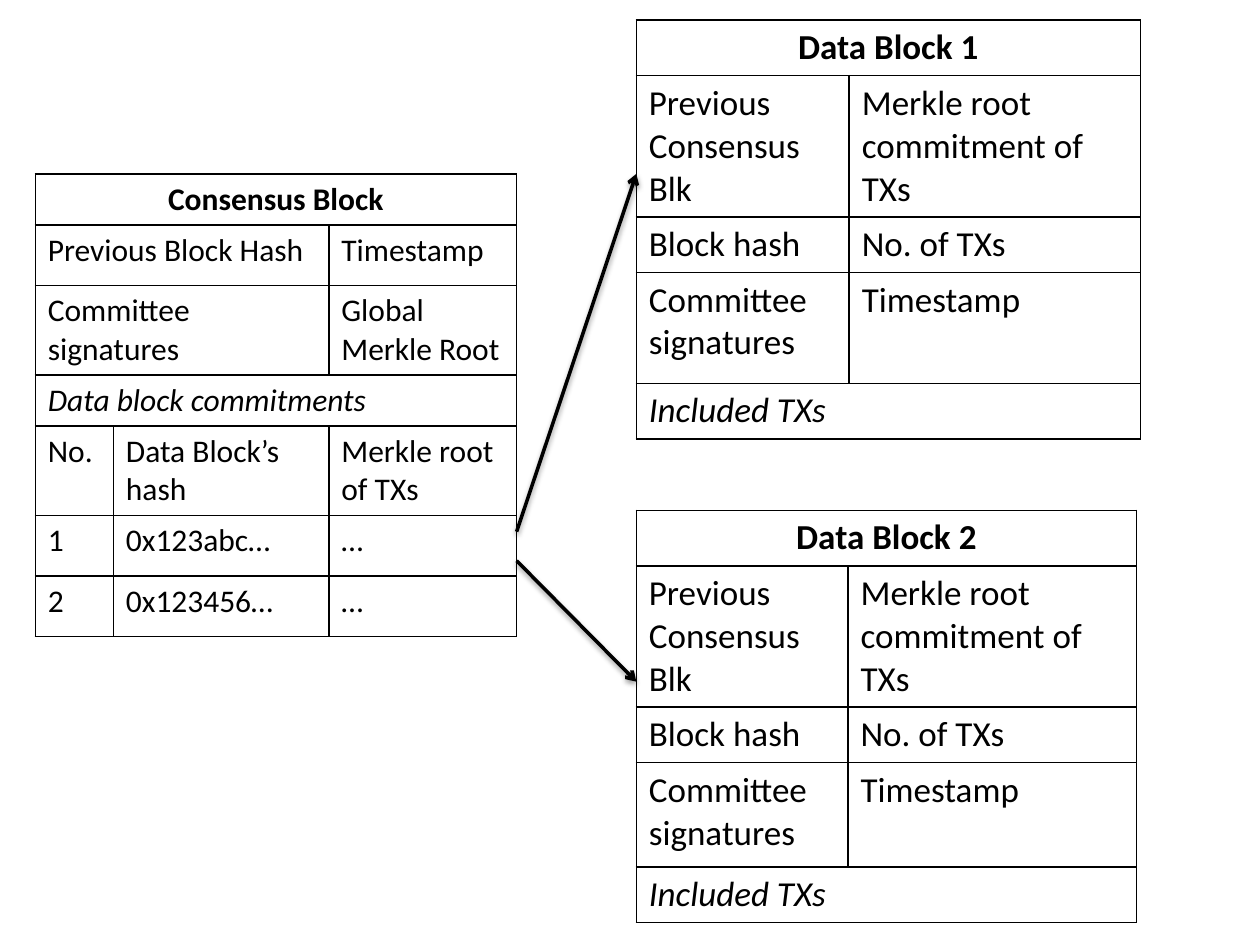
from lxml import etree
from pptx import Presentation
from pptx.dml.color import RGBColor
from pptx.enum.shapes import MSO_CONNECTOR as Connector
from pptx.enum.text import PP_ALIGN as Align
from pptx.oxml import parse_xml
from pptx.util import Inches, Pt

NAMESPACE = 'xmlns:a="http://schemas.openxmlformats.org/drawingml/2006/main"'
BLACK = "000000"
HEADER = {"bold": True}
SECTION = {"italic": True}
PLAIN = {"bold": False, "italic": False}


def color(value):
    return RGBColor.from_string(value)


def set_all(target, values):
    for name, value in values.items():
        setattr(target, name, value)


class BlockDiagram:
    columns, rows = 100, 75
    font = {"name": "Calibri"}
    ink = BLACK

    def __init__(self, presentation):
        self.column = presentation.slide_width / self.columns
        self.row = presentation.slide_height / self.rows
        self.slide = presentation.slides.add_slide(presentation.slide_layouts[6])

    def across(self, count):
        return round(count * self.column)

    def down(self, count):
        return round(count * self.row)

    def border(self, cell):
        properties = cell._tc.get_or_add_tcPr()
        for position, side in enumerate("LRTB"):
            properties.insert(position, parse_xml(
                f'<a:ln{side} {NAMESPACE} w="{Pt(1)}"><a:solidFill>'
                f'<a:srgbClr val="{self.ink}"/></a:solidFill></a:ln{side}>'))

    def label(self, cell, text, size, style):
        cell.text = text
        for paragraph in cell.text_frame.paragraphs:
            paragraph.alignment = Align.CENTER if style is HEADER else Align.LEFT
            set_all(paragraph.font, self.font | {"size": Pt(size)})
            for run in paragraph.runs:
                set_all(run.font, self.font | {"size": Pt(size)} | style)
                run.font.color.rgb = color(self.ink)

    def table(self, left, top, widths, heights, size, content):
        frame = self.slide.shapes.add_table(
            len(heights), len(widths), self.across(left), self.down(top),
            self.across(sum(widths)), self.down(sum(heights)))
        table = frame.table
        set_all(table, {"first_row": False, "horz_banding": False})
        for column, width in zip(table.columns, widths):
            column.width = self.across(width)
        for row, height in zip(table.rows, heights):
            row.height = self.down(height)
        for row_index, (style, *texts) in enumerate(content):
            start = 0
            for column_index, text in enumerate(texts):
                cell = table.cell(row_index, column_index)
                cell.fill.background()
                self.border(cell)
                self.label(cell, text or "", size, style)
                if text is not None:
                    start = column_index
                elif texts[column_index + 1:column_index + 2] != [None]:
                    table.cell(row_index, start).merge(cell)

    def arrow(self, start, end):
        connector = self.slide.shapes.add_connector(
            Connector.STRAIGHT, self.across(start[0]), self.down(start[1]),
            self.across(end[0]), self.down(end[1]))
        connector.line.width = Pt(2)
        connector.line.color.rgb = color(self.ink)
        line = connector.line._get_or_add_ln()
        line.append(parse_xml(f'<a:tailEnd {NAMESPACE} type="arrow"/>'))
        connector._element.spPr.append(etree.fromstring(
            f'<a:effectLst {NAMESPACE}><a:outerShdw blurRad="{Pt(3.1)}" dist="{Pt(1.6)}" '
            f'dir="5400000" rotWithShape="0"><a:srgbClr val="{BLACK}">'
            '<a:alpha val="38000"/></a:srgbClr></a:outerShdw></a:effectLst>'))


def data_block(number):
    return [
        (HEADER, f"Data Block {number}", None),
        (PLAIN, "Previous Consensus Blk", "Merkle root\ncommitment of TXs"),
        (PLAIN, "Block hash", "No. of TXs"),
        (PLAIN, "Committee signatures", "Timestamp"),
        (SECTION, "Included TXs", None),
    ]


CONSENSUS_BLOCK = [
    (HEADER, "Consensus Block", None, None),
    (PLAIN, "Previous Block Hash", None, "Timestamp"),
    (PLAIN, "Committee signatures", None, "Global Merkle Root"),
    (SECTION, "Data block commitments", None, None),
    (PLAIN, "No.", "Data Block’s hash", "Merkle root\nof TXs"),
    (PLAIN, "1", "0x123abc…", "…"),
    (PLAIN, "2", "0x123456…", "…"),
]


def main():
    presentation = Presentation()
    set_all(presentation, {"slide_width": Inches(10), "slide_height": Inches(7.5)})
    diagram = BlockDiagram(presentation)
    diagram.table(2.8, 13.8, [6.2, 17.1, 14.9],
                  [3, 4.8, 6.9, 3, 6.9, 4.8, 4.8], 18, CONSENSUS_BLOCK)
    diagram.arrow((41, 42.2), (50.5, 13.8))
    diagram.table(50.5, 1.6, [16.9, 23.1], [3.4, 8.8, 3.7, 8.8, 3.4], 20, data_block(1))
    diagram.arrow((41, 44.5), (50.5, 54.1))
    diagram.table(50.5, 40.5, [16.8, 22.9], [3.2, 8.3, 3.2, 8.3, 3.2], 20, data_block(2))
    presentation.save("out.pptx")


if __name__ == "__main__":
    main()
